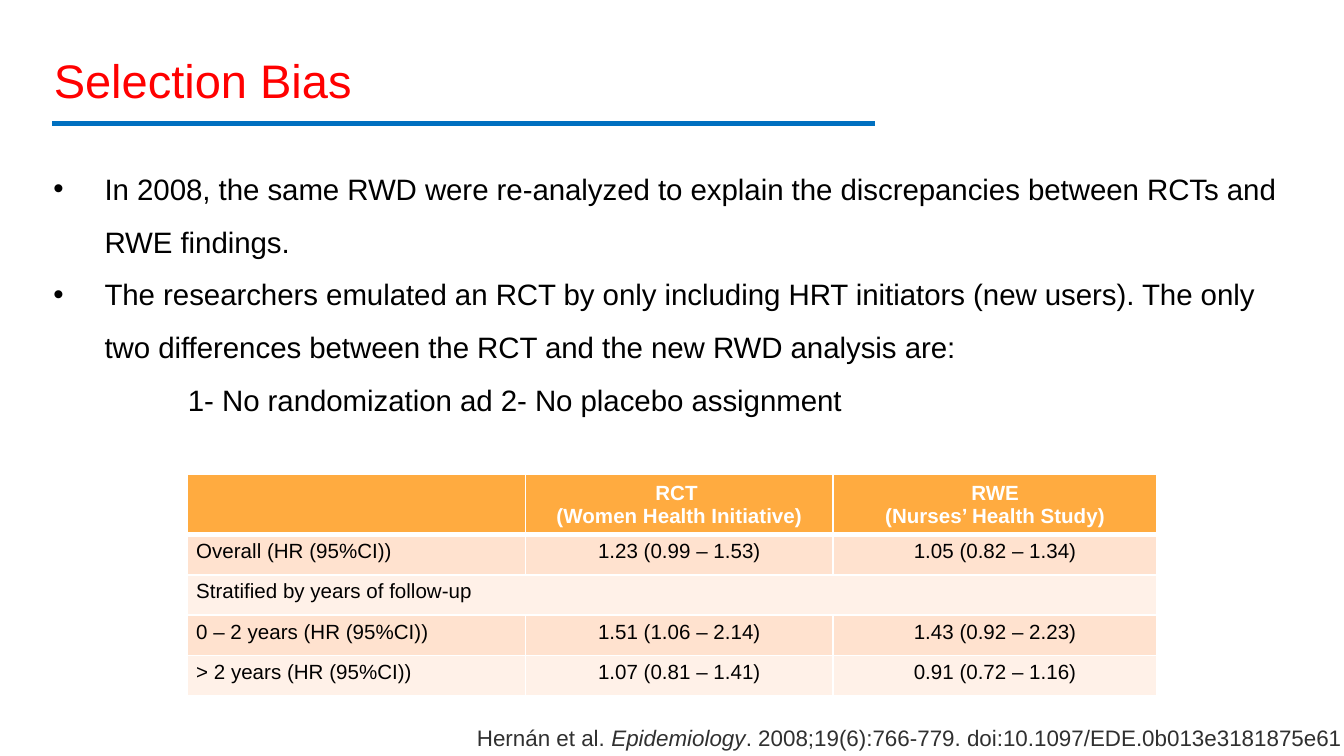
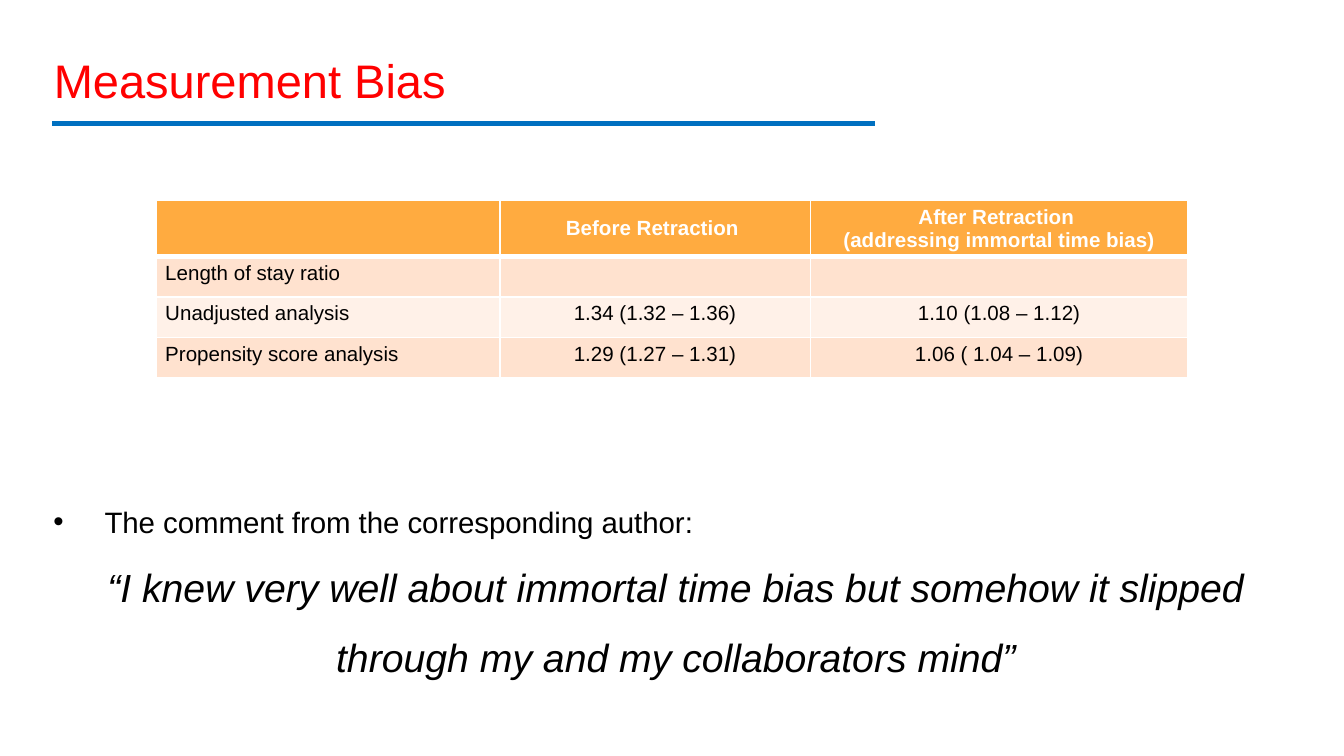
from lxml import etree
from pptx import Presentation
from pptx.dml.color import RGBColor
from pptx.enum import shapes, text
from pptx.oxml import ns
from pptx.util import Inches, Pt

FONT = "Arial"
RED, BLUE, BLACK, WHITE, GREY = "FF0000", "0070C0", "000000", "FFFFFF", "303030"
HEADER_FILL = "FFAB40"
BAND_FILLS = ("FFE2CF", "FFF1E8")
SLIDE_WIDTH = 10
HEADER_HEIGHT, ROW_HEIGHT = 0.42, 0.3
BODY_SIZE, QUOTE_SIZE = 15.75, 21

BIAS_ROWS = [
    ["", "RCT \n(Women Health Initiative)", "RWE\n(Nurses’ Health Study)"],
    ["Overall (HR (95%CI))", "1.23 (0.99 – 1.53)", "1.05 (0.82 – 1.34)"],
    ["Stratified by years of follow-up"],
    ["0 – 2 years (HR (95%CI))", "1.51 (1.06 – 2.14)", "1.43 (0.92 – 2.23)"],
    ["> 2 years (HR (95%CI))", "1.07 (0.81 – 1.41)", "0.91 (0.72 – 1.16)"],
]
RETRACTION_ROWS = [
    ["", "Before Retraction ",
     "After Retraction \n(addressing immortal time bias)"],
    ["Length of stay ratio", "", ""],
    ["Unadjusted analysis", "1.34 (1.32 – 1.36)", "1.10 (1.08 – 1.12)"],
    ["Propensity score analysis", "1.29 (1.27 – 1.31)", "1.06 ( 1.04 – 1.09)"],
]


def rgb(color):
    return RGBColor.from_string(color)


def style_font(font, size, color=BLACK, bold=False, italic=False):
    font.name = FONT
    font.size = Pt(size)
    font.bold = bold
    font.italic = italic
    font.color.rgb = rgb(color)


def add_titled_slide(presentation, title):
    slide = presentation.slides.add_slide(presentation.slide_layouts[5])
    shape = slide.shapes.title
    shape.left, shape.top = Inches(0.3), Inches(0.28)
    shape.width, shape.height = Inches(8.62), Inches(0.57)
    frame = shape.text_frame
    frame.text = title
    frame.auto_size = text.MSO_AUTO_SIZE.NONE
    frame.vertical_anchor = text.MSO_ANCHOR.TOP
    frame.margin_left = frame.margin_right = Inches(0.1)
    frame.margin_top = frame.margin_bottom = Inches(0.1)
    paragraph = frame.paragraphs[0]
    paragraph.alignment = text.PP_ALIGN.LEFT
    style_font(paragraph.font, 25.2, RED)
    return slide


def add_title_rule(slide):
    rule = slide.shapes.add_connector(
        shapes.MSO_CONNECTOR.STRAIGHT,
        Inches(0.39), Inches(0.92), Inches(6.51), Inches(0.92))
    rule.line.color.rgb = rgb(BLUE)
    rule.line.width = Pt(3)
    etree.SubElement(rule._element.spPr, ns.qn("a:effectLst"))


def add_text_frame(slide, left, top, width, height):
    box = slide.shapes.add_textbox(
        Inches(left), Inches(top), Inches(width), Inches(height))
    box.text_frame.word_wrap = True
    return box.text_frame


def add_bullet(paragraph):
    properties = paragraph._p.get_or_add_pPr()
    properties.set("marL", str(Inches(0.38)))
    properties.set("indent", str(-Inches(0.38)))
    color = etree.SubElement(properties, ns.qn("a:buClr"))
    etree.SubElement(color, ns.qn("a:srgbClr"), val=BLACK)
    etree.SubElement(properties, ns.qn("a:buFont"), typeface=FONT)
    etree.SubElement(properties, ns.qn("a:buChar"), char="•")


def add_body(slide, top, height, bullets):
    """Add the bulleted text and return a new, last paragraph to fill."""
    frame = add_text_frame(slide, 0.3, top, 9.46, height)
    paragraph = frame.paragraphs[0]
    for bullet in bullets:
        paragraph.text = bullet
        add_bullet(paragraph)
        paragraph.line_spacing = 1.5
        style_font(paragraph.font, BODY_SIZE)
        paragraph = frame.add_paragraph()
    paragraph.line_spacing = 1.5
    return paragraph


def set_borders(cell, bottom_width):
    properties = cell._tc.get_or_add_tcPr()
    widths = {"lnL": 1, "lnR": 1, "lnT": 1, "lnB": bottom_width}
    for index, (side, width) in enumerate(widths.items()):
        line = etree.Element(ns.qn(f"a:{side}"), w=str(Pt(width)))
        fill = etree.SubElement(line, ns.qn("a:solidFill"))
        etree.SubElement(fill, ns.qn("a:srgbClr"), val=WHITE)
        properties.insert(index, line)


def format_cell(cell, row, column):
    header = row == 0
    cell.fill.solid()
    cell.fill.fore_color.rgb = rgb(
        HEADER_FILL if header else BAND_FILLS[(row - 1) % 2])
    set_borders(cell, 3 if header else 1)
    cell.margin_left = cell.margin_right = Inches(0.07)
    cell.margin_top = cell.margin_bottom = Inches(0.04)
    cell.vertical_anchor = (
        text.MSO_ANCHOR.MIDDLE if header else text.MSO_ANCHOR.TOP)
    for paragraph in cell.text_frame.paragraphs:
        paragraph.alignment = (
            text.PP_ALIGN.CENTER if column else text.PP_ALIGN.LEFT)
        style_font(paragraph.font, 11, WHITE if header else BLACK, bold=header)


def add_results_table(slide, left, top, widths, rows):
    """Add a banded table; a row with one entry spans all columns."""
    heights = [HEADER_HEIGHT] + [ROW_HEIGHT] * (len(rows) - 1)
    table = slide.shapes.add_table(
        len(rows), len(widths), Inches(left), Inches(top),
        Inches(sum(widths)), Inches(sum(heights))).table
    for column, width in zip(table.columns, widths):
        column.width = Inches(width)
    for row, height in zip(table.rows, heights):
        row.height = Inches(height)
    for row, entries in enumerate(rows):
        if len(entries) == 1:
            table.cell(row, 0).merge(table.cell(row, len(widths) - 1))
        for column, entry in enumerate(entries):
            table.cell(row, column).text = entry
        for column in range(len(widths)):
            format_cell(table.cell(row, column), row, column)


def add_citation(slide, authors, journal, details):
    paragraph = add_text_frame(slide, 3.45, 5.34, 7.22, 0.3).paragraphs[0]
    for part in (authors, journal, details):
        run = paragraph.add_run()
        run.text = part
        style_font(run.font, 12, GREY, italic=part == journal)


def build_selection_bias(presentation):
    slide = add_titled_slide(presentation, "Selection Bias")
    differences = add_body(slide, 1.09, 2.04, [
        "In 2008, the same RWD were re-analyzed to explain the discrepancies "
        "between RCTs and RWE findings.",
        "The researchers emulated an RCT by only including HRT initiators "
        "(new users). The only two differences between the RCT and the new "
        "RWD analysis are:",
    ])
    differences.text = "1- No randomization ad 2- No placebo assignment"
    differences.level = 1
    properties = differences._p.get_or_add_pPr()
    properties.set("marL", str(Inches(1)))
    properties.set("indent", "0")
    style_font(differences.font, BODY_SIZE)
    add_results_table(slide, 1.39, 3.53, (2.52, 2.29, 2.41), BIAS_ROWS)
    add_citation(slide, "Hernán et al. ", "Epidemiology",
                 ". 2008;19(6):766-779. doi:10.1097/EDE.0b013e3181875e61")
    add_title_rule(slide)


def build_measurement_bias(presentation):
    slide = add_titled_slide(presentation, "Measurement Bias")
    add_results_table(slide, 1.16, 1.49, (2.56, 2.31, 2.81), RETRACTION_ROWS)
    quote = add_body(slide, 3.57, 1.49,
                     ["The comment from the corresponding author:"])
    quote.text = ("“I knew very well about immortal time bias but somehow it "
                  "slipped through my and my collaborators mind”")
    quote.alignment = text.PP_ALIGN.CENTER
    style_font(quote.font, QUOTE_SIZE, italic=True)
    add_title_rule(slide)


def main():
    presentation = Presentation()
    presentation.slide_width = Inches(SLIDE_WIDTH)
    presentation.slide_height = Inches(SLIDE_WIDTH * 9 / 16)
    build_selection_bias(presentation)
    build_measurement_bias(presentation)
    presentation.save("out.pptx")


if __name__ == "__main__":
    main()
